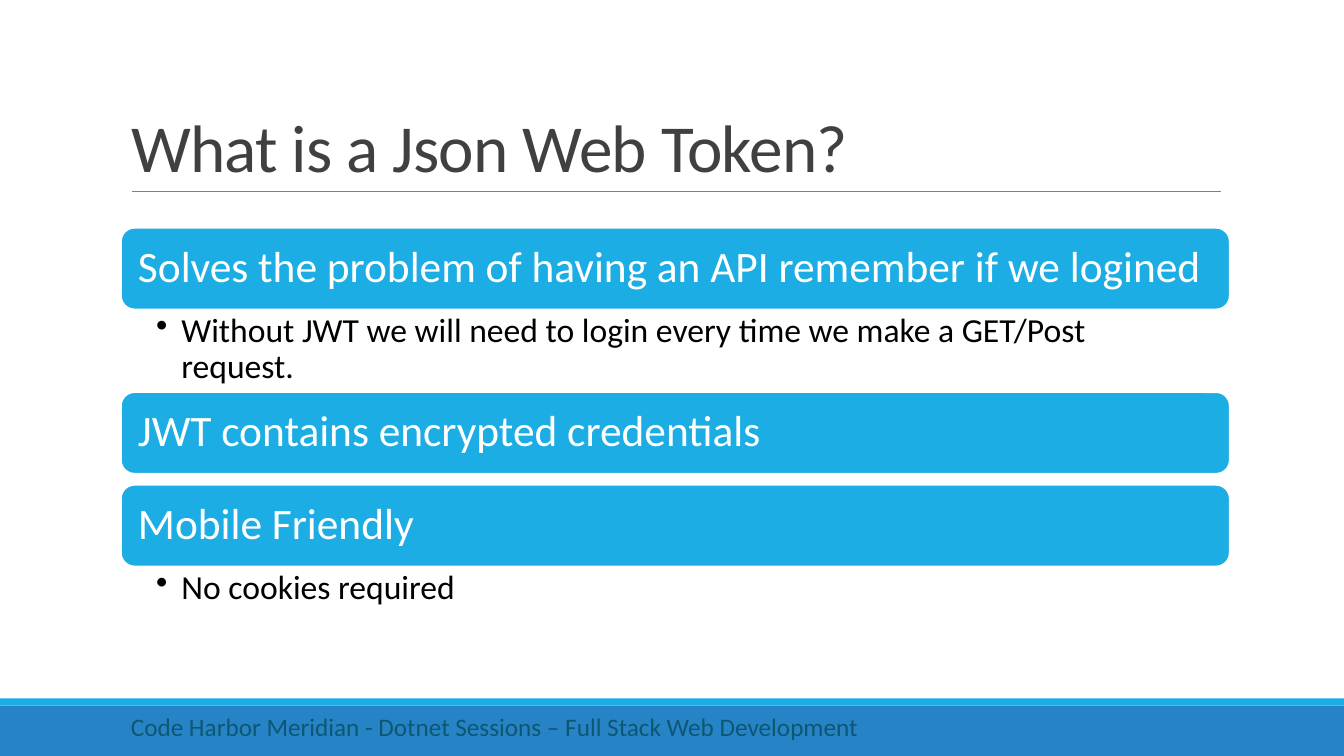
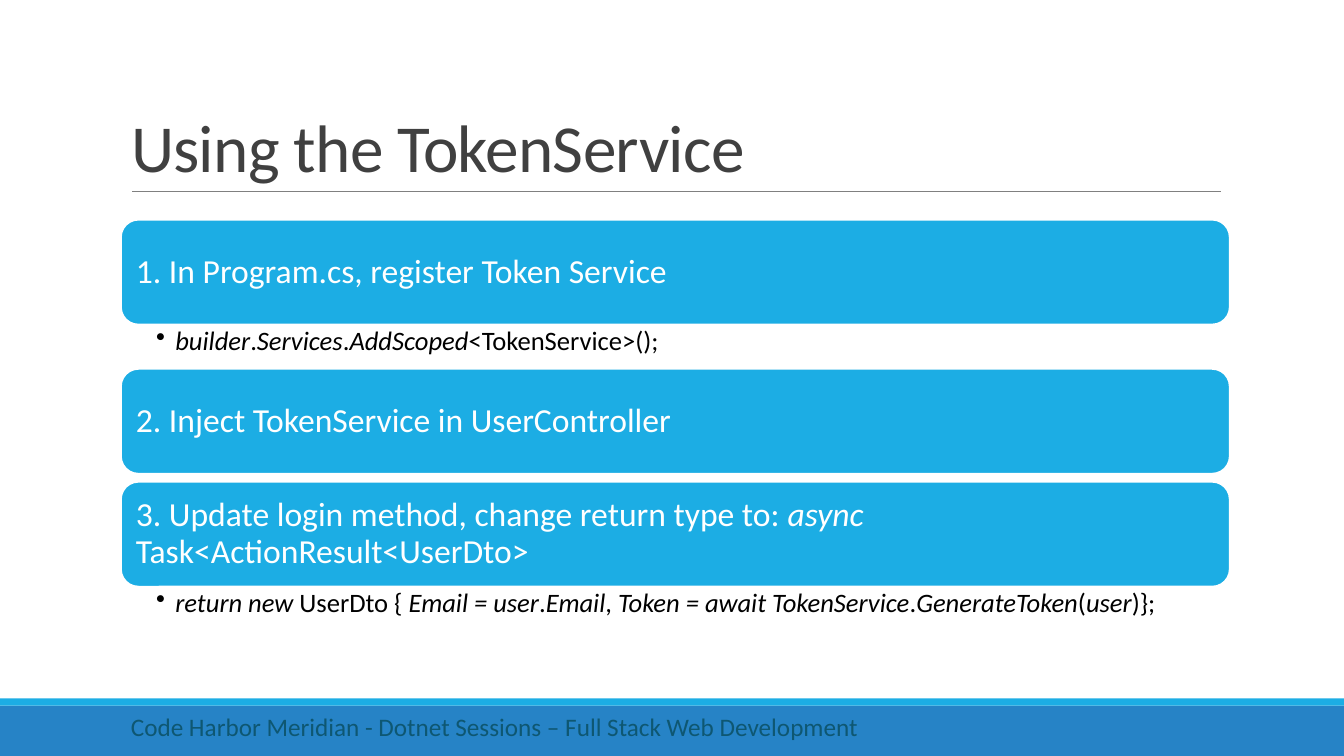
from typing import NamedTuple

from lxml import etree
from pptx import Presentation
from pptx import util as u
from pptx.dml.color import RGBColor
from pptx.enum import shapes, text
from pptx.oxml import ns

# Colours and font
BLUE = RGBColor(0x1C, 0xAD, 0xE4)
DEEP = RGBColor(0x26, 0x83, 0xC6)
TEAL = RGBColor(0x0E, 0x57, 0x72)
DARK = RGBColor(0x40, 0x40, 0x40)
GREY = RGBColor(0x80, 0x80, 0x80)
WHITE = RGBColor(0xFF, 0xFF, 0xFF)
BLACK = RGBColor(0, 0, 0)
FONT = "Calibri"
FOOTER = "Code Harbor Meridian - Dotnet Sessions – Full Stack Web Development"

# Grid: cells of a tenth of an inch
CELL = u.Inches(0.1)
COLS, ROWS = 133.33, 75
LEFT, SPAN = 12, 110
RULE = 19


class Item(NamedTuple):
    head: str
    note: str = ""  # words between asterisks are italic
    rows: float = 0  # height of the note


class Page(NamedTuple):
    title: str
    top: float
    bar: float  # height of a bar
    gap: float  # space below a bar without a note
    size: int
    small: int
    pad: float  # insets and indent in inches
    edge: float
    right: float
    hang: float
    items: tuple[Item, ...]


PAGES = (
    Page("What is a Json Web Token?", 22.6, 8.1, 1.1, 31, 24, 0.13, 0.04, 0.24, 0.25, (
        Item("Solves the problem of having an API remember if we logined",
             "Without JWT we will need to login every time we make a GET/Post request.", 8.2),
        Item("JWT contains encrypted credentials"),
        Item("Mobile Friendly", "No cookies required", 5.6),
    )),
    Page("Using the TokenService", 21.8, 10.4, 0.8, 24, 19, 0.1, 0.03, 0.19, 0.19, (
        Item("1. In Program.cs, register Token Service",
             "*builder*.*Services*.*AddScoped*<TokenService>();", 4.4),
        Item("2. Inject TokenService in UserController"),
        Item("3. Update login method, change return type to: *async *Task<ActionResult<UserDto>",
             "*return new *UserDto { *Email = user*.*Email*, *Token = await TokenService*."
             "*GenerateToken*(*user*)};", 4.4),
    )),
)


def cells(*counts: float) -> list[int]:
    return [round(n * CELL) for n in counts]


def write(frame, words: str, size: int, color: RGBColor, lead: float = 1.0):
    """Fill the first paragraph; every second piece is italic."""
    para = frame.paragraphs[0]
    para.alignment = text.PP_ALIGN.LEFT
    para.line_spacing = lead
    for i, piece in enumerate(words.split("*")):
        if piece:
            run = para.add_run()
            run.text = piece
            font = run.font
            font.name, font.size, font.italic = FONT, u.Pt(size), i % 2 == 1
            font.color.rgb = color
    return para


def inset(frame, left: float, top: float, right: float, low: float) -> None:
    frame.margin_left, frame.margin_top = u.Inches(left), u.Inches(top)
    frame.margin_right, frame.margin_bottom = u.Inches(right), u.Inches(low)
    frame.word_wrap = True


def block(slide, kind, box: list[int], fill: RGBColor):
    shape = slide.shapes.add_shape(kind, *box)
    shape.shadow.inherit = False
    shape.fill.solid()
    shape.fill.fore_color.rgb = fill
    shape.line.fill.background()
    return shape


def frame_page(slide, title: str) -> None:
    # Bands
    flat = shapes.MSO_SHAPE.RECTANGLE
    block(slide, flat, cells(0, 70, COLS, ROWS - 70), DEEP)
    block(slide, flat, cells(0, 69.3, COLS, 0.7), BLUE)

    # Rule under the title
    rule = slide.shapes.add_connector(
        shapes.MSO_CONNECTOR.STRAIGHT, *cells(LEFT + 1.1, RULE, LEFT + SPAN - 0.9, RULE))
    rule.line.color.rgb = GREY
    rule.line.width = u.Pt(0.5)
    etree.SubElement(rule._element.spPr, ns.qn("a:effectLst"))

    # Title
    head = slide.shapes.title
    head.left, head.top, head.width, head.height = cells(LEFT, 3.1, SPAN, RULE - 3.1)
    frame = head.text_frame
    frame.auto_size = text.MSO_AUTO_SIZE.NONE
    frame.vertical_anchor = text.MSO_ANCHOR.BOTTOM
    para = write(frame, title, 48, DARK, 0.85)
    para.runs[0]._r.get_or_add_rPr().set("spc", "-50")

    # Footer
    foot = slide.shapes.add_textbox(*cells(LEFT, 70.1, 76.2, 4)).text_frame
    foot.word_wrap = True
    foot.auto_size = text.MSO_AUTO_SIZE.SHAPE_TO_FIT_TEXT
    write(foot, FOOTER, 18, TEAL)


def draw_bar(slide, page: Page, item: Item, row: float) -> None:
    bar = block(slide, shapes.MSO_SHAPE.ROUNDED_RECTANGLE,
                cells(LEFT, row, SPAN, page.bar), BLUE)
    bar.line.color.rgb = WHITE
    bar.line.width = u.Pt(1.25)
    frame = bar.text_frame
    inset(frame, *[page.pad] * 4)
    frame.vertical_anchor = text.MSO_ANCHOR.MIDDLE
    write(frame, item.head, page.size, WHITE, 0.9)


def draw_note(slide, page: Page, item: Item, row: float) -> None:
    frame = slide.shapes.add_textbox(*cells(LEFT, row, SPAN, item.rows)).text_frame
    inset(frame, 0.35, page.edge, page.right, page.edge)
    para = write(frame, item.note, page.small, BLACK, 0.9)
    props = para._p.get_or_add_pPr()
    hang = u.Inches(page.hang)
    props.set("marL", str(hang))
    props.set("indent", str(-hang))
    etree.SubElement(props, ns.qn("a:buChar")).set("char", "•")


def main() -> None:
    deck = Presentation()
    deck.slide_width, deck.slide_height = cells(COLS, ROWS)
    for page in PAGES:
        slide = deck.slides.add_slide(deck.slide_layouts[5])
        frame_page(slide, page.title)
        row = page.top
        for item in page.items:
            draw_bar(slide, page, item, row)
            row += page.bar
            if item.note:
                draw_note(slide, page, item, row)
            row += item.rows or page.gap
    deck.save("out.pptx")


if __name__ == "__main__":
    main()
